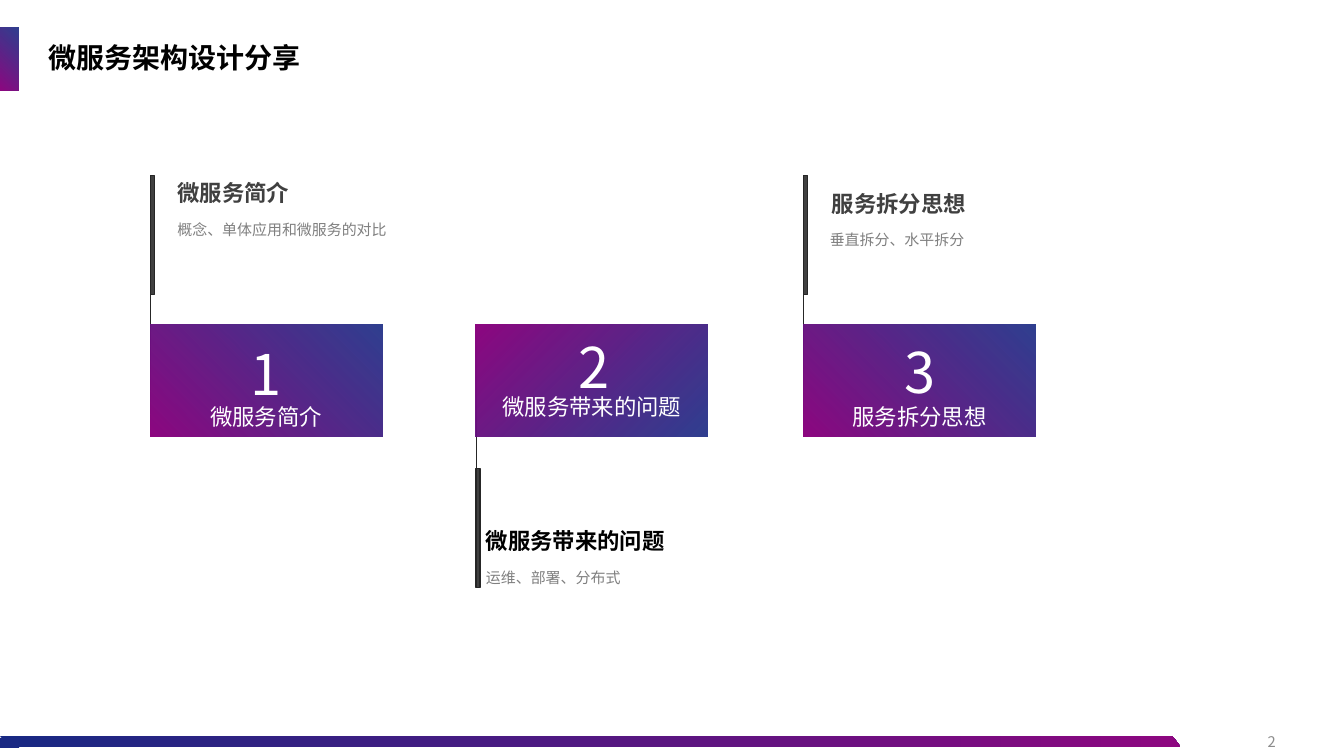
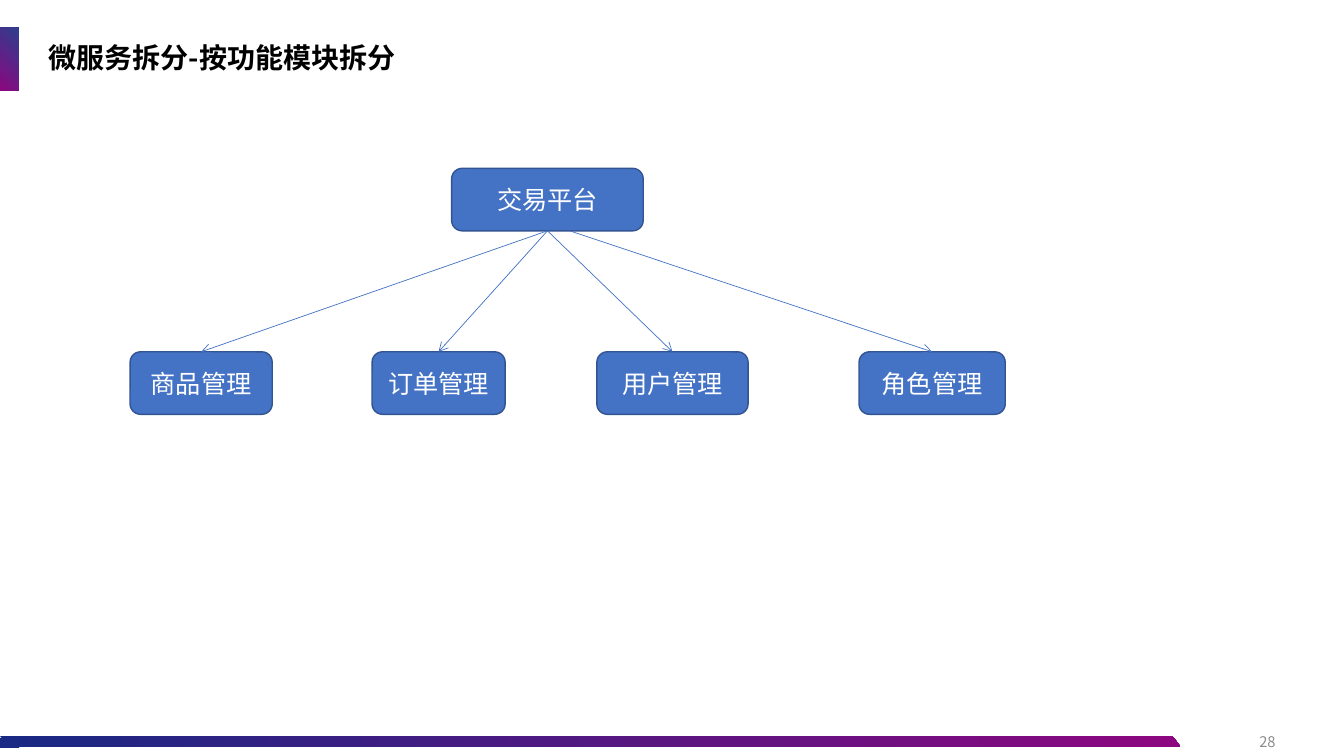
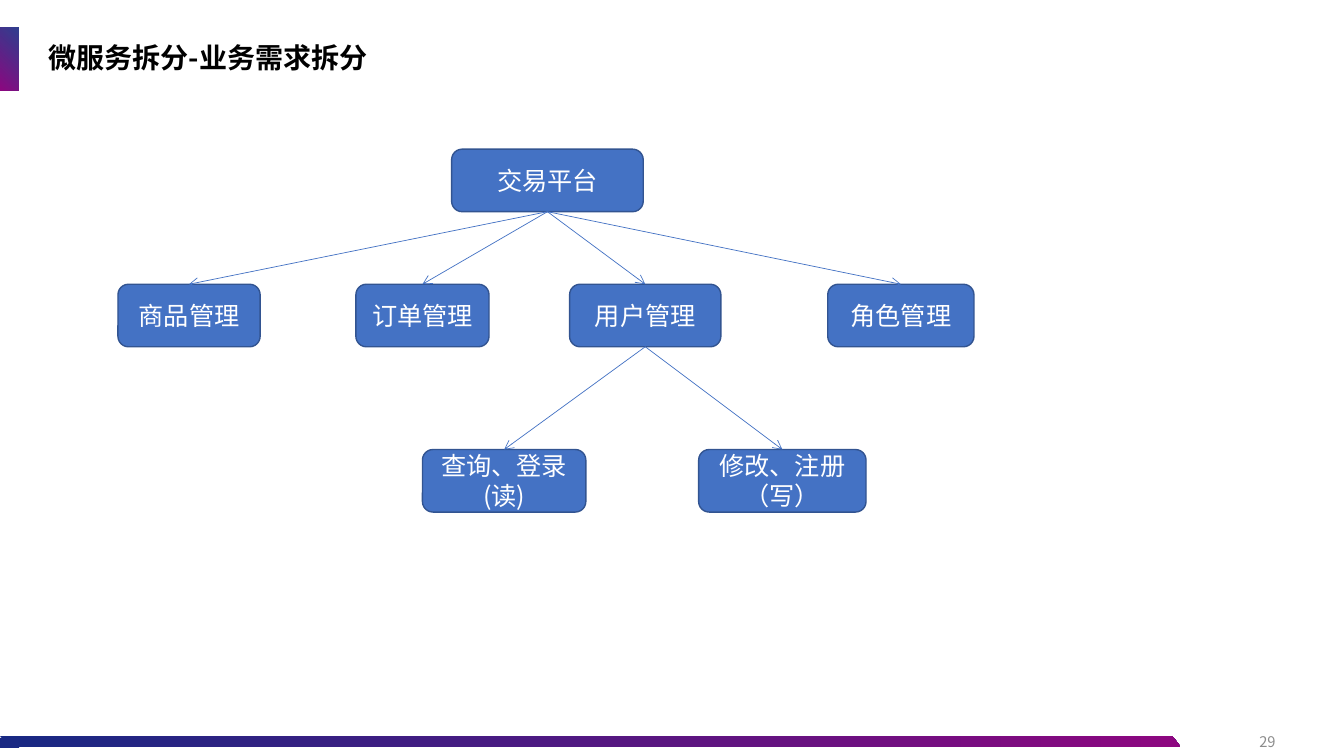
import pptx
import pptx.util
from lxml import etree
from pptx.dml.color import RGBColor
from pptx.enum.shapes import MSO_CONNECTOR, MSO_SHAPE
from pptx.enum.text import MSO_ANCHOR, PP_ALIGN
from pptx.oxml.ns import qn
from pptx.util import Inches

# Shared style
FONT = "Noto Sans CJK SC"
BLACK = RGBColor(0x00, 0x00, 0x00)
WHITE = RGBColor(0xFF, 0xFF, 0xFF)
NAVY = RGBColor(0x18, 0x29, 0x83)
FOOTER_NAVY = RGBColor(0x1A, 0x29, 0x83)
MAGENTA = RGBColor(0x8D, 0x07, 0x80)
DARK_GREY = RGBColor(0x40, 0x40, 0x40)
OUTLINE_GREY = RGBColor(0x26, 0x26, 0x26)
TEXT_GREY = RGBColor(0x80, 0x80, 0x80)
PAGE_GREY = RGBColor(0x8C, 0x8C, 0x8C)
NODE_BLUE = RGBColor(0x44, 0x72, 0xC4)
NODE_OUTLINE = RGBColor(0x32, 0x54, 0x91)

DEFAULT_INSETS = (0.1, 0.05)
CARD_INSETS = (0.14, 0.07)
BOTTOM_SITE, TOP_SITE = 2, 0

# Agenda geometry
CARD_TOP, CARD_WIDTH, CARD_HEIGHT = 3.22, 2.3, 1.11
BAR_WIDTH, BAR_HEIGHT = 0.04, 1.18
NODE_HEIGHT = 0.62


# Text and shapes
def write_text(box, text, size, color, bold=False, align=PP_ALIGN.LEFT,
               anchor=MSO_ANCHOR.MIDDLE, insets=DEFAULT_INSETS, spacing=None):
    frame = box.text_frame
    frame.word_wrap = True
    frame.vertical_anchor = anchor
    frame.margin_left = frame.margin_right = Inches(insets[0])
    frame.margin_top = frame.margin_bottom = Inches(insets[1])
    paragraph = frame.paragraphs[0]
    paragraph.text = text
    paragraph.alignment = align
    if spacing:
        paragraph.line_spacing = spacing
    font = paragraph.font
    font.size = pptx.util.Pt(size)
    font.bold = bold
    font.color.rgb = color
    font.name = FONT
    defaults = box.element.xpath(".//a:pPr/a:defRPr")[0]
    etree.SubElement(defaults, qn("a:ea"), typeface=FONT)


def add_text(page, place, text, size, color, **style):
    box = page.shapes.add_textbox(*map(Inches, place))
    write_text(box, text, size, color, **style)


def add_block(page, kind, place, fill=None, outline=None):
    block = page.shapes.add_shape(kind, *map(Inches, place))
    block.shadow.inherit = False
    if fill is not None:
        block.fill.solid()
        block.fill.fore_color.rgb = fill
    if outline is None:
        block.line.fill.background()
    else:
        block.line.color.rgb = outline
        block.line.width = pptx.util.Pt(1)
    return block


def add_gradient_block(page, kind, place, angle, opacity=100):
    """Fill from navy to magenta; opacity applies to the navy end."""
    block = add_block(page, kind, place)
    block.fill.gradient()
    block.fill.gradient_angle = angle
    for stop, color in zip(block.fill.gradient_stops, (NAVY, MAGENTA)):
        stop.color.rgb = color
    if opacity < 100:
        navy = block.element.xpath(".//a:gs/a:srgbClr")[0]
        etree.SubElement(navy, qn("a:alpha"), val=str(opacity * 1000))
    return block


def add_line(page, start, end, color, arrow=False):
    line = page.shapes.add_connector(
        MSO_CONNECTOR.STRAIGHT, *map(Inches, (*start, *end)))
    line.line.color.rgb = color
    line.line.width = pptx.util.Pt(0.5)
    if arrow:
        outline = line.element.xpath(".//a:ln")[0]
        etree.SubElement(outline, qn("a:tailEnd"), type="arrow")
    etree.SubElement(line.element.spPr, qn("a:effectLst"))
    return line


# Page frame
def decorate_layout(layout, page):
    """Draw the bands on a page and move them to its layout."""
    for holder in list(layout.placeholders):
        if holder.placeholder_format.idx != 0:
            layout.shapes.element.remove(holder.element)
    accent = add_gradient_block(
        page, MSO_SHAPE.RECTANGLE, (0, 0.27, 0.18, 0.63), 225, opacity=90)
    footer = add_gradient_block(
        page, MSO_SHAPE.PARALLELOGRAM, (0, 7.3, 11.71, 0.11), 180)
    footer.adjustments[0] = 0.775
    footer.element.xpath("./p:spPr/a:xfrm")[0].set("flipH", "1")
    corner = add_block(
        page, MSO_SHAPE.RECTANGLE, (0, 7.32, 0.19, 0.1), FOOTER_NAVY)
    for band in (accent, footer, corner):
        layout.shapes.element.append(band.element)


def add_page(deck, layout, title, number):
    page = deck.slides.add_slide(layout)
    holder = page.shapes.title
    holder.left, holder.top, holder.width, holder.height = map(
        Inches, (0.38, 0.27, 11.1, 0.63))
    write_text(holder, title, 20, BLACK, bold=True, spacing=0.9)
    add_text(page, (9.75, 7.16, 3, 0.4), str(number), 10.5, PAGE_GREY,
             align=PP_ALIGN.RIGHT)
    return page


# Agenda cards
def add_card(page, left, number, number_place, name, label_height, below=False):
    bar_top = 4.65 if below else 1.74
    stem = (bar_top + BAR_HEIGHT, CARD_TOP) if below else (bar_top, CARD_TOP + 1.1)
    add_line(page, (left, stem[0]), (left, stem[1]), OUTLINE_GREY)
    add_block(page, MSO_SHAPE.RECTANGLE, (left, bar_top, BAR_WIDTH, BAR_HEIGHT),
              DARK_GREY, OUTLINE_GREY)
    add_gradient_block(page, MSO_SHAPE.RECTANGLE,
                       (left, CARD_TOP, CARD_WIDTH, CARD_HEIGHT),
                       135 if below else 225, opacity=90)
    style = {"align": PP_ALIGN.CENTER}
    if below:
        style.update(anchor=MSO_ANCHOR.TOP, spacing=0.9)
    else:
        style.update(insets=CARD_INSETS, spacing=1.3)
    add_text(page, (left + 0.1, 3.88, 2.1, label_height), name, 16, WHITE, **style)
    offset, top, height = number_place
    add_text(page, (left + offset, top, 1.18, height), number, 40, WHITE, **style)


def add_summary(page, left, top, name, detail, color, detail_shift=0):
    add_text(page, (left, top, 2.76, 0.37), name, 16, color, bold=True,
             insets=(0, 0.11))
    add_text(page, (left + detail_shift, top + 0.37, 2.38, 0.6), detail, 10.7,
             TEXT_GREY, anchor=MSO_ANCHOR.TOP, insets=(0, 0), spacing=1.5)


def fill_agenda(page):
    intro, problems, splitting = "微服务简介", "微服务带来的问题", "服务拆分思想"
    add_card(page, 1.49, "1", (0.56, 3.22, 0.77), intro, 0.43)
    add_card(page, 4.72, "2", (0.58, 3.33, 0.77), problems, 0.37, below=True)
    add_card(page, 7.97, "3", (0.56, 3.33, 0.51), splitting, 0.43)
    add_summary(page, 1.76, 1.73, intro, "概念、单体应用和微服务的对比", DARK_GREY)
    add_summary(page, 4.82, 5.18, problems, "运维、部署、分布式", BLACK)
    add_summary(page, 8.25, 1.83, splitting, "垂直拆分、水平拆分", DARK_GREY, -0.02)


# Tree diagrams
def add_node(page, text, left, top, width):
    node = add_block(page, MSO_SHAPE.ROUNDED_RECTANGLE,
                     (left, top, width, NODE_HEIGHT), NODE_BLUE, NODE_OUTLINE)
    write_text(node, text, 18, WHITE, align=PP_ALIGN.CENTER)
    return node


def link_nodes(page, parent, child):
    arrow = add_line(page, (0, 0), (1, 1), NODE_BLUE, arrow=True)
    arrow.begin_connect(parent, BOTTOM_SITE)
    arrow.end_connect(child, TOP_SITE)


def add_children(page, parent, top, children):
    nodes = [add_node(page, text, left, top, width)
             for text, left, width in children]
    for node in nodes:
        link_nodes(page, parent, node)
    return nodes


def add_platform(page, top):
    return add_node(page, "交易平台", 4.48, top, 1.9)


def list_modules(lefts):
    names = ("商品管理", "订单管理", "用户管理", "角色管理")
    return list(zip(names, lefts, (1.41, 1.32, 1.5, 1.45)))


def fill_module_tree(page):
    platform = add_platform(page, 1.67)
    *centred, (name, left, width) = list_modules((1.29, 3.69, 5.92, 8.52))
    add_children(page, platform, 3.49, centred)
    # The last arrow leaves right of the centre
    role = add_node(page, name, left, 3.49, width)
    arrow = add_line(page, (5.65, 2.29), (9.25, 3.49), NODE_BLUE, arrow=True)
    arrow.end_connect(role, TOP_SITE)


def fill_demand_tree(page):
    platform = add_platform(page, 1.48)
    modules = add_children(page, platform, 2.82,
                           list_modules((1.17, 3.53, 5.65, 8.21)))
    add_children(page, modules[2], 4.46, [("查询、登录(读)", 4.19, 1.62),
                                          ("修改、注册（写）", 6.93, 1.66)])


def main():
    deck = pptx.Presentation()
    deck.slide_width, deck.slide_height = Inches(13.33), Inches(7.5)
    layout = deck.slide_layouts[5]
    pages = (
        ("微服务架构设计分享", 2, fill_agenda),
        ("微服务拆分-按功能模块拆分", 28, fill_module_tree),
        ("微服务拆分-业务需求拆分", 29, fill_demand_tree),
    )
    for title, number, fill_page in pages:
        page = add_page(deck, layout, title, number)
        fill_page(page)
    decorate_layout(layout, page)
    deck.save("out.pptx")


if __name__ == "__main__":
    main()
